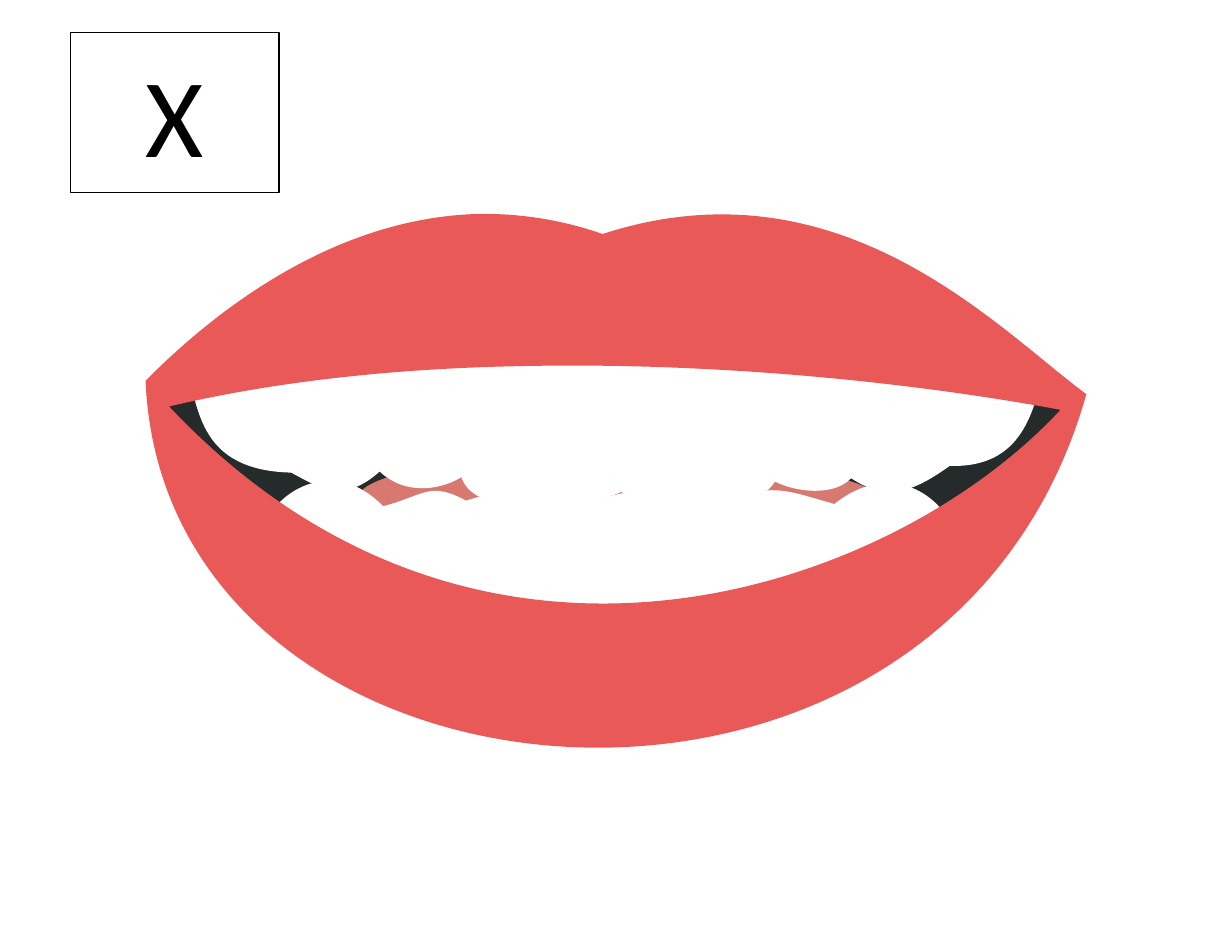
from dataclasses import dataclass

from lxml.etree import SubElement
from pptx import Presentation
from pptx.dml.color import RGBColor as Color
from pptx.enum.shapes import MSO_SHAPE as Shape
from pptx.enum.text import MSO_ANCHOR as Anchor, PP_ALIGN as Align
from pptx.oxml.ns import qn
from pptx.util import Inches, Pt

COLUMNS, ROWS = 1100, 850      # fine grid over the whole slide
CELL = Inches(11) / COLUMNS    # cells are square
CURVE_STEPS = 40               # samples for measuring a curve


@dataclass(frozen=True)
class Theme:
    paper: Color = Color(0xFF, 0xFF, 0xFF)
    ink: Color = Color(0, 0, 0)
    cavity: Color = Color(0x25, 0x2B, 0x2A)
    tongue: Color = Color(0xD7, 0x79, 0x71)
    lips: Color = Color(0xE9, 0x59, 0x58)
    font: str = "Calibri"
    letter_size: Pt = Pt(72)
    line_width: Pt = Pt(1)


THEME = Theme()

# Contours in (column, row): a start point, then segments;
# one pair is a straight line, three pairs are a cubic curve.
CAVITY = [
    [(139, 362), [(403, 295), (740, 323), (949, 366)],
     [(800, 539), (424, 688), (139, 362)]],
]
TONGUE = [
    [(323, 438), [(365, 395), (741, 400), (784, 442)],
     [(824, 483), (634, 592), (557, 591)],
     [(480, 591), (282, 482), (323, 438)]],
]
LOWER_TEETH = [
    [(287, 518), [(172, 512), (270, 377), (342, 452)],
     [(378, 443), (383, 429), (416, 447)],
     [(451, 437), (484, 424), (530, 446)],
     [(576, 436), (591, 431), (631, 449)],
     [(694, 431), (698, 437), (745, 450)],
     [(826, 385), (898, 510), (822, 521)],
     [(599, 557), (475, 579), (287, 518)]],
]
UPPER_TEETH = [
    [(458, 299), [(630, 296), (768, 305), (909, 324)], [(933, 328)],
     [(923, 364), (915, 418), (848, 416)],
     [(817, 438), (793, 449), (760, 427)],
     [(745, 443), (712, 440), (692, 430)],
     [(667, 469), (571, 453), (555, 439)],
     [(543, 447), (426, 470), (412, 426)],
     [(398, 435), (365, 445), (339, 421)],
     [(306, 451), (283, 434), (260, 422)],
     [(178, 420), (178, 365), (167, 332)], [(203, 317)],
     [(286, 306), (372, 301), (458, 299)]],
]
LIPS = [
    # Outer edge
    [(431, 191), [(465, 191), (501, 196), (538, 209)],
     [(750, 140), (890, 293), (970, 352)],
     [(842, 806), (147, 742), (130, 340)],
     [(169, 301), (283, 193), (431, 191)]],
    # Mouth opening
    [(463, 327), [(356, 329), (248, 340), (151, 363)],
     [(431, 660), (800, 525), (947, 366)],
     [(818, 342), (641, 323), (463, 327)]],
]


def grid(*cells):
    return [round(cell * CELL) for cell in cells]


def curve_points(start, first, second, end):
    """Points along a cubic Bezier curve, without its start."""
    for step in range(1, CURVE_STEPS + 1):
        t = step / CURVE_STEPS
        u = 1 - t
        yield tuple(
            u**3 * a + 3 * u * u * t * b + 3 * u * t * t * c + t**3 * d
            for a, b, c, d in zip(start, first, second, end)
        )


def bounds(contours):
    points = []
    for start, *segments in contours:
        points.append(start)
        for segment in segments:
            points += curve_points(points[-1], *segment) if len(segment) == 3 else segment
    columns, rows = zip(*points)
    return min(columns), min(rows), max(columns), max(rows)


def paint(shape, fill, line=None):
    shape.shadow.inherit = False
    shape.fill.solid()
    shape.fill.fore_color.rgb = fill
    if line is None:
        shape.line.fill.background()
    else:
        shape.line.color.rgb = line
        shape.line.width = THEME.line_width


def add_outline(shapes, contours, fill):
    # Frame of the right size
    left, top, right, bottom = bounds(contours)
    builder = shapes.build_freeform(*grid(left, top), scale=1.0)
    corners = [(right, top), (right, bottom), (left, bottom)]
    builder.add_line_segments([grid(*corner) for corner in corners], close=True)
    shape = builder.convert_to_shape()

    # True curves inside the frame
    geometry = next(shape.element.iter(qn("a:path")))
    for child in list(geometry):
        geometry.remove(child)

    def draw(command, points):
        node = SubElement(geometry, qn(command))
        for column, row in points:
            x, y = grid(column - left, row - top)
            SubElement(node, qn("a:pt"), x=str(x), y=str(y))

    for start, *segments in contours:
        draw("a:moveTo", [start])
        for segment in segments:
            draw("a:cubicBezTo" if len(segment) == 3 else "a:lnTo", segment)
        draw("a:close", [])
    paint(shape, fill)


def add_box(shapes, cells, line):
    box = shapes.add_shape(Shape.RECTANGLE, *grid(*cells))
    paint(box, THEME.paper, line)
    return box


def add_letter(box, letter):
    box.text_frame.vertical_anchor = Anchor.MIDDLE
    paragraph = box.text_frame.paragraphs[0]
    paragraph.alignment = Align.CENTER
    run = paragraph.add_run()
    run.text = letter
    run.font.name = THEME.font
    run.font.size = THEME.letter_size
    run.font.color.rgb = THEME.ink


def main():
    presentation = Presentation()
    presentation.slide_width, presentation.slide_height = grid(COLUMNS, ROWS)
    slide = presentation.slides.add_slide(presentation.slide_layouts[6])

    # Backdrop
    add_box(slide.shapes, (0, 0, COLUMNS, ROWS), THEME.paper)

    # Mouth, from back to front
    mouth = slide.shapes.add_group_shape()
    for contours, fill in (
        (CAVITY, THEME.cavity),
        (TONGUE, THEME.tongue),
        (LOWER_TEETH, THEME.paper),
        (UPPER_TEETH, THEME.paper),
        (LIPS, THEME.lips),
    ):
        add_outline(mouth.shapes, contours, fill)

    # Letter card
    card = add_box(slide.shapes, (63, 29, 186, 143), THEME.ink)
    add_letter(card, "X")

    presentation.save("out.pptx")


if __name__ == "__main__":
    main()
